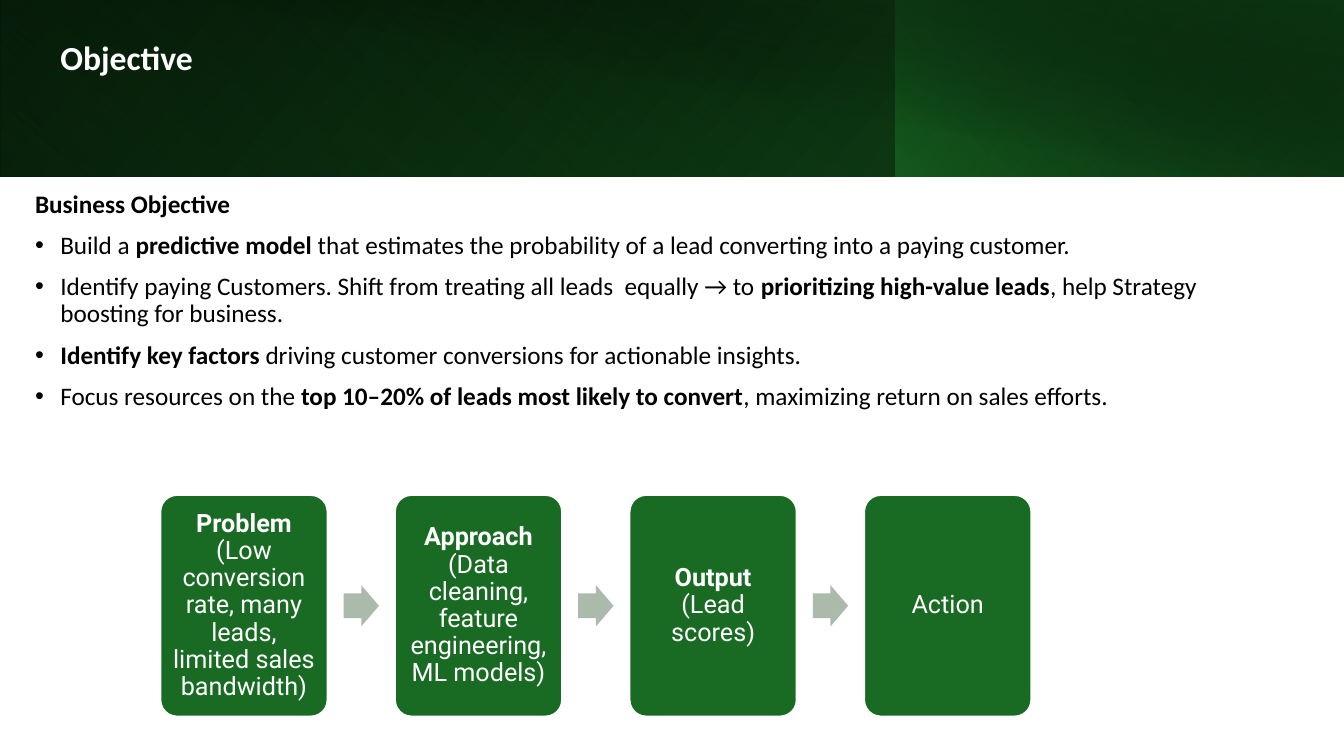
from lxml import etree
from pptx import Presentation
from pptx.dml.color import RGBColor
from pptx.enum import shapes, text
from pptx.oxml import ns
from pptx.util import Inches, Pt

GREEN, WHITE, BLACK, SAGE = "196B24", "FFFFFF", "000000", "ACBAAC"
BULLETS = [
    [("Build a ", False), ("predictive model", True),
     (" that estimates the probability of a lead converting into a paying customer.", False)],
    [("Identify paying Customers. Shift from treating all leads  equally → to ", False),
     ("prioritizing high-value leads", True),
     (", help Strategy boosting for business.", False)],
    [("Identify key factors", True),
     (" driving customer conversions for actionable insights.", False)],
    [("Focus resources on the ", False),
     ("top 10–20% of leads most likely to convert", True),
     (", maximizing return on sales efforts.", False)],
]
STEPS = [
    [("Problem", True), (" (Low conversion rate, many leads, limited sales bandwidth)", False)],
    [("Approach", True), (" (Data cleaning, feature engineering, ML models)", False)],
    [("Output", True), (" (Lead scores)", False)],
    [("Action", False)],
]


def rgb(color):
    return RGBColor.from_string(color)


def add_shape(slide, kind, x, y, w, h, color=None):
    sp = slide.shapes.add_shape(kind, Inches(x), Inches(y), Inches(w), Inches(h))
    sp.shadow.inherit = False
    sp.line.fill.background()
    if color:
        sp.fill.solid()
        sp.fill.fore_color.rgb = rgb(color)
    return sp


def set_gradient(sp, stops, angle):
    """Fill with (position %, colour, opacity %) stops along a clockwise angle."""
    fill = etree.Element(ns.qn("a:gradFill"), rotWithShape="1")
    stop_list = etree.SubElement(fill, ns.qn("a:gsLst"))
    for pos, color, opacity in stops:
        gs = etree.SubElement(stop_list, ns.qn("a:gs"), pos=str(pos * 1000))
        clr = etree.SubElement(gs, ns.qn("a:srgbClr"), val=color)
        if opacity < 100:
            etree.SubElement(clr, ns.qn("a:alpha"), val=str(opacity * 1000))
    etree.SubElement(fill, ns.qn("a:lin"), ang=str(angle * 60000), scaled="0")
    sp._element.spPr.find(ns.qn("a:prstGeom")).addnext(fill)


def add_runs(p, runs, size, font, color):
    p.line_spacing = 0.9
    for words, bold in runs:
        r = p.add_run()
        r.text = words
        r.font.size, r.font.name, r.font.bold = Pt(size), font, bold
        r.font.color.rgb = rgb(color)


def add_text_box(slide, x, y, w, h):
    tf = slide.shapes.add_textbox(Inches(x), Inches(y), Inches(w), Inches(h)).text_frame
    tf.word_wrap = True
    tf.vertical_anchor = text.MSO_ANCHOR.TOP
    return tf


def set_bullet(p):
    pPr = p._p.get_or_add_pPr()
    pPr.set("marL", str(Inches(0.25)))
    pPr.set("indent", str(-Inches(0.25)))
    etree.SubElement(pPr, ns.qn("a:buFont"), typeface="Arial")
    etree.SubElement(pPr, ns.qn("a:buChar"), char="•")


def add_banner(slide, x, y, w, h):
    split = 8.88
    layers = [  # left, width, rotation, mirrored, stops, angle
        (0, w, 0, True, [(0, BLACK, 100), (100, "13501B", 100)], 140),
        (0, split, 180, True, [(20, GREEN, 0), (100, "0D3612", 55)], 230),
        (split, w - split, 0, True, [(0, GREEN, 66), (100, BLACK, 30)], 220),
        (0.5, w - 0.5, 0, False, [(50, BLACK, 0), (99, "0D3612", 52)], 280),
    ]
    for left, width, rotation, mirrored, stops, angle in layers:
        sp = add_shape(slide, shapes.MSO_SHAPE.RECTANGLE, x + left, y, width, h)
        sp.rotation = rotation
        if mirrored:
            sp._element.spPr.find(ns.qn("a:xfrm")).set("flipH", "1")
        set_gradient(sp, stops, angle)
    tf = add_text_box(slide, x + 0.5, y + 0.3, 10.82, 1.13)
    tf.margin_top = Inches(0.11)
    add_runs(tf.paragraphs[0], [("Objective", True)], 24, "Calibri", WHITE)


def add_objectives(slide, x, y, w, h):
    tf = add_text_box(slide, x, y, w, h)
    add_runs(tf.paragraphs[0], [("Business Objective", True)], 18, "Calibri", BLACK)
    for runs in BULLETS:
        p = tf.add_paragraph()
        add_runs(p, runs, 18, "Calibri", BLACK)
        p.space_before = Pt(10)
        set_bullet(p)


def add_process(slide, x, y, w, h):
    """Row of step cards joined by arrows."""
    card_w, arrow_w, arrow_h = 1.66, 0.35, 0.41
    pitch = (w - card_w) / (len(STEPS) - 1)
    for i, runs in enumerate(STEPS):
        left = x + i * pitch
        card = add_shape(slide, shapes.MSO_SHAPE.ROUNDED_RECTANGLE, left, y, card_w, h, GREEN)
        card.adjustments[0] = 0.1
        card.line.color.rgb = rgb(WHITE)
        card.line.width = Pt(1.5)
        tf = card.text_frame
        tf.word_wrap = True
        tf.vertical_anchor = text.MSO_ANCHOR.MIDDLE
        tf.margin_left = tf.margin_right = Inches(0.06)
        tf.margin_top = tf.margin_bottom = Inches(0.07)
        p = tf.paragraphs[0]
        p.alignment = text.PP_ALIGN.CENTER
        add_runs(p, runs, 18, "Roboto", WHITE)
        if i < len(STEPS) - 1:
            arrow = add_shape(slide, shapes.MSO_SHAPE.RIGHT_ARROW,
                              left + card_w + (pitch - card_w - arrow_w) / 2,
                              y + (h - arrow_h) / 2, arrow_w, arrow_h, SAGE)
            arrow.adjustments[0], arrow.adjustments[1] = 0.6, 0.5


def main():
    prs = Presentation()
    prs.slide_width, prs.slide_height = Inches(13.33), Inches(7.5)
    slide = prs.slides.add_slide(prs.slide_layouts[6])
    add_banner(slide, 0, 0, 13.33, 1.75)
    add_objectives(slide, 0.25, 1.85, 12.07, 2.78)
    add_process(slide, 1.59, 4.91, 8.64, 2.2)
    prs.save("out.pptx")


if __name__ == "__main__":
    main()
